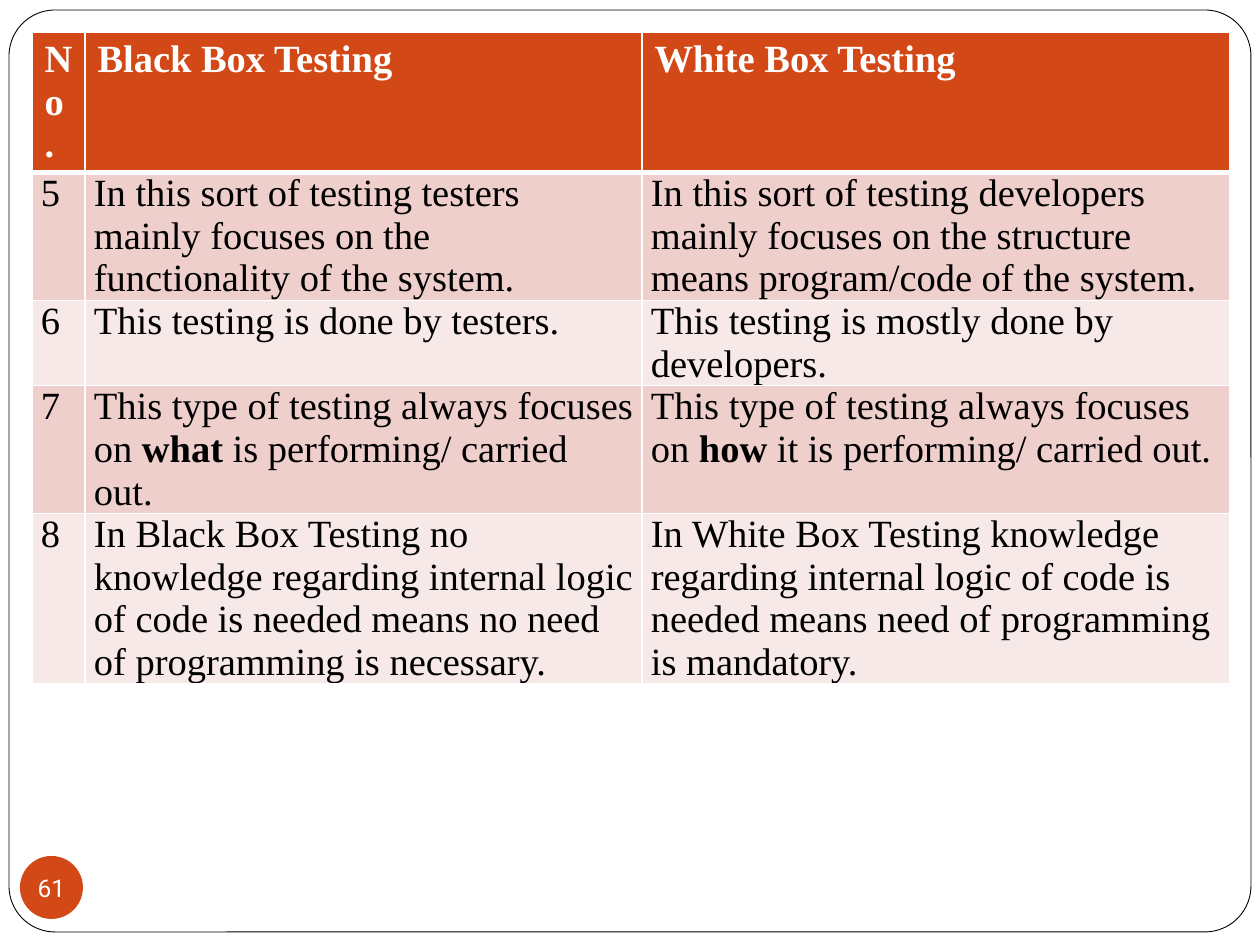
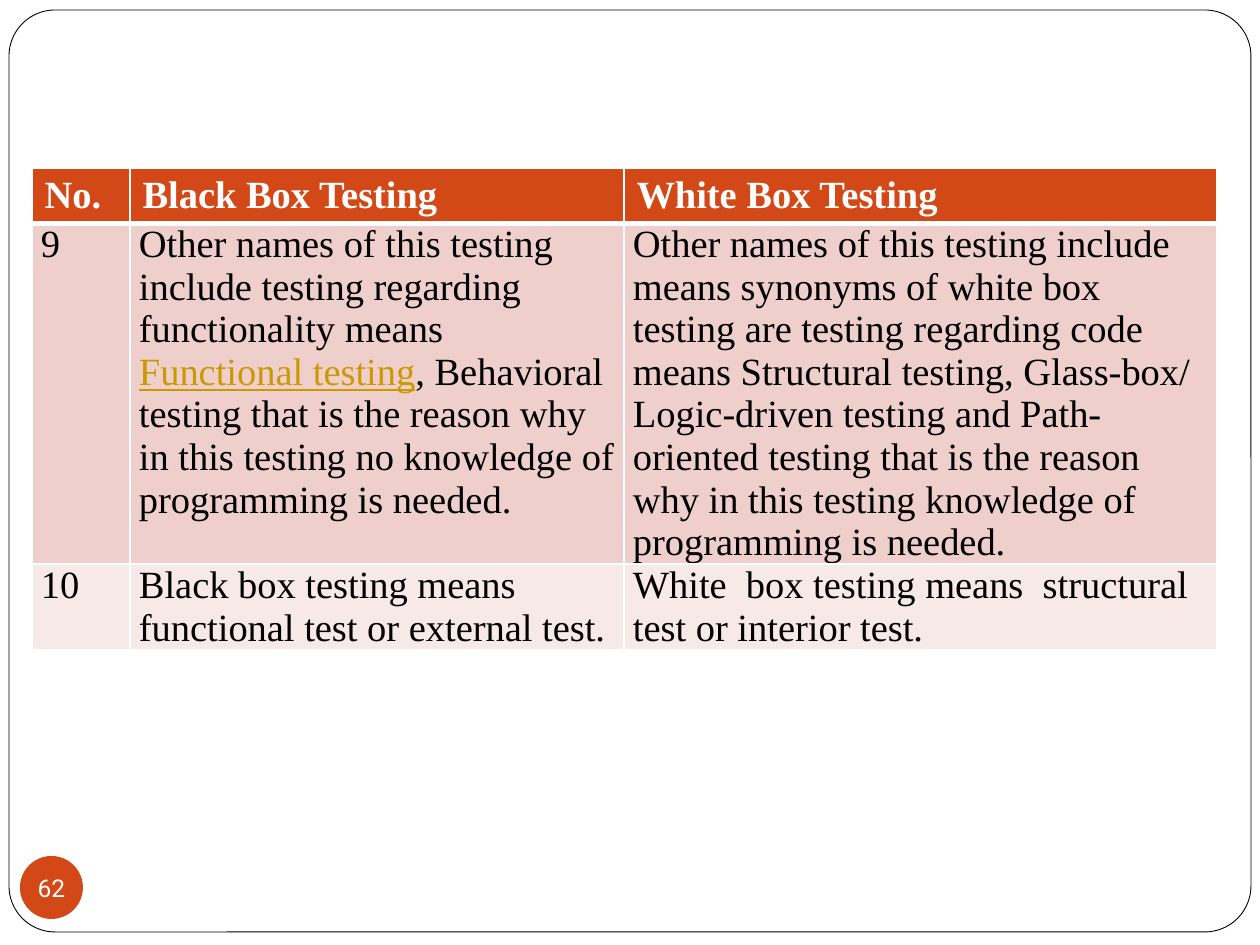
from dataclasses import dataclass

from lxml import etree
from pptx import Presentation
from pptx import util as u
from pptx.dml.color import RGBColor
from pptx.enum import shapes, text
from pptx.oxml.ns import qn

EMU_PER_PX = 914400 / 126
COLOURS = {
    "paper": "FFFFFF",
    "ink": "000000",
    "accent": "D34817",
    "band_dark": "EFCFCC",
    "band_light": "F7E9E8",
    "link": "CC9900",
}
TABLE_FONT = "Times New Roman"
NUMBER_FONT = "Roboto"
HEADINGS = ("No.", "Black Box Testing", "White Box Testing")
ROW_HEIGHT = 52
TABLE_LEFT = 32


@dataclass(frozen=True)
class Span:
    words: str
    bold: bool = False
    underline: bool = False
    colour: str = "ink"


@dataclass(frozen=True)
class Comparison:
    number: int
    black_box: tuple[Span, ...]
    white_box: tuple[Span, ...]


@dataclass(frozen=True)
class ComparisonPage:
    number: int
    top: int
    columns: tuple[int, int, int]
    comparisons: tuple[Comparison, ...]


PAGES = (
    ComparisonPage(61, 32, (53, 557, 588), (
        Comparison(
            5,
            (Span("In this sort of testing testers mainly focuses on the "
                  "functionality of the system."),),
            (Span("In this sort of testing developers mainly focuses on the "
                  "structure means program/code of the system."),),
        ),
        Comparison(
            6,
            (Span("This testing is done by testers."),),
            (Span("This testing is mostly done by developers."),),
        ),
        Comparison(
            7,
            (Span("This type of testing always focuses on "),
             Span("what", bold=True),
             Span(" is performing/ carried out.")),
            (Span("This type of testing always focuses on "),
             Span("how ", bold=True),
             Span("it is performing/ carried out.")),
        ),
        Comparison(
            8,
            (Span("In Black Box Testing no knowledge regarding internal logic "
                  "of code is needed means no need of programming is "
                  "necessary."),),
            (Span("In White Box Testing knowledge regarding internal logic of "
                  "code is needed means need of programming is mandatory."),),
        ),
    )),
    ComparisonPage(62, 168, (98, 494, 593), (
        Comparison(
            9,
            (Span("Other names of this testing include testing regarding "
                  "functionality means "),
             Span("Functional testing", underline=True, colour="link"),
             Span(", Behavioral testing that is the reason why in this "
                  "testing no knowledge of programming is needed.")),
            (Span("Other names of this testing include means synonyms of "
                  "white box testing are testing regarding code means "
                  "Structural testing, Glass-box/ Logic-driven testing and "
                  "Path-oriented testing that is the reason why in this "
                  "testing knowledge of programming is needed."),),
        ),
        Comparison(
            10,
            (Span("Black box testing means functional test or external "
                  "test."),),
            (Span("White  box testing means  structural test or interior "
                  "test."),),
        ),
    )),
)


def px(length: int) -> u.Emu:
    return u.Emu(round(length * EMU_PER_PX))


def rgb(name: str) -> RGBColor:
    return RGBColor.from_string(COLOURS[name])


def add_span(para, span: Span, font: str, size: int) -> None:
    run = para.add_run()
    run.text = span.words
    run.font.name = font
    run.font.size = u.Pt(size)
    run.font.bold = span.bold
    run.font.underline = span.underline
    run.font.color.rgb = rgb(span.colour)


def add_plain_shape(page, kind, left: int, top: int, width: int, height: int,
                    fill: str):
    shape = page.shapes.add_shape(kind, px(left), px(top), px(width), px(height))
    shape.shadow.inherit = False
    shape.fill.solid()
    shape.fill.fore_color.rgb = rgb(fill)
    shape.line.fill.background()
    return shape


def add_frame(page) -> None:
    frame = add_plain_shape(page, shapes.MSO_SHAPE.ROUNDED_RECTANGLE,
                            9, 10, 1242, 922, "paper")
    frame.adjustments[0] = 0.05
    frame.line.color.rgb = rgb("ink")
    frame.line.width = u.Pt(0.5)


def add_page_number(page, number: int) -> None:
    badge = add_plain_shape(page, shapes.MSO_SHAPE.OVAL, 20, 856, 63, 63, "accent")
    box = badge.text_frame
    box.margin_left = box.margin_right = box.margin_top = box.margin_bottom = 0
    box.word_wrap = False
    box.vertical_anchor = text.MSO_ANCHOR.MIDDLE
    para = box.paragraphs[0]
    para.alignment = text.PP_ALIGN.CENTER
    add_span(para, Span(str(number), colour="paper"), NUMBER_FONT, 14)


def add_borders(cell, top: int, bottom: int) -> None:
    """Draw white rules, one point at the sides; call before filling the cell."""
    properties = cell._tc.get_or_add_tcPr()
    for side, points in (("L", 1), ("R", 1), ("T", top), ("B", bottom)):
        rule = etree.SubElement(properties, qn(f"a:ln{side}"), w=str(u.Pt(points)))
        fill = etree.SubElement(rule, qn("a:solidFill"))
        etree.SubElement(fill, qn("a:srgbClr"), val=COLOURS["paper"])


def fill_cell(cell, spans: tuple[Span, ...], fill: str, top: int,
              bottom: int) -> None:
    add_borders(cell, top, bottom)
    cell.fill.solid()
    cell.fill.fore_color.rgb = rgb(fill)
    for span in spans:
        add_span(cell.text_frame.paragraphs[0], span, TABLE_FONT, 22)


def add_comparison_table(page, content: ComparisonPage) -> None:
    row_count = len(content.comparisons) + 1
    table = page.shapes.add_table(
        row_count, len(HEADINGS), px(TABLE_LEFT), px(content.top),
        px(sum(content.columns)), px(ROW_HEIGHT * row_count)).table
    for column, width in zip(table.columns, content.columns):
        column.width = px(width)
    for column, heading in enumerate(HEADINGS):
        fill_cell(table.cell(0, column),
                  (Span(heading, bold=True, colour="paper"),), "accent", 1, 3)
    for row, item in enumerate(content.comparisons, start=1):
        band = "band_dark" if row % 2 else "band_light"
        entries = ((Span(str(item.number)),), item.black_box, item.white_box)
        for column, spans in enumerate(entries):
            cell = table.cell(row, column)
            cell.margin_left = cell.margin_right = px(9)
            cell.margin_top = cell.margin_bottom = 0
            fill_cell(cell, spans, band, 3 if row == 1 else 1, 1)


def main() -> None:
    deck = Presentation()
    deck.slide_width, deck.slide_height = px(1260), px(945)
    blank = deck.slide_layouts.get_by_name("Blank")
    for content in PAGES:
        page = deck.slides.add_slide(blank)
        add_frame(page)
        add_page_number(page, content.number)
        add_comparison_table(page, content)
    deck.save("out.pptx")


if __name__ == "__main__":
    main()
